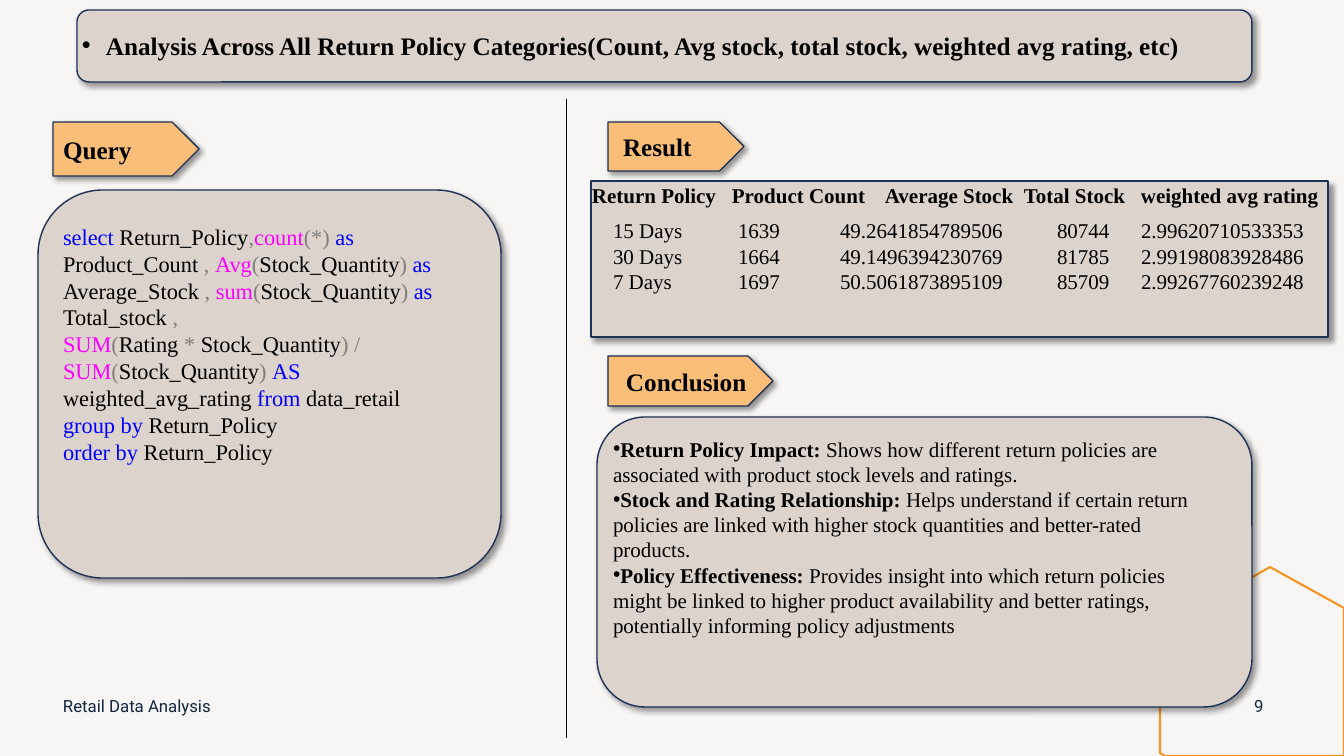
from lxml import etree
from pptx import Presentation
from pptx.dml.color import RGBColor
from pptx.enum.shapes import MSO_CONNECTOR, MSO_SHAPE
from pptx.enum.text import MSO_ANCHOR, PP_ALIGN
from pptx.oxml.ns import qn
from pptx.util import Pt

TOP, MIDDLE = MSO_ANCHOR.TOP, MSO_ANCHOR.MIDDLE
LEFT, CENTER = PP_ALIGN.LEFT, PP_ALIGN.CENTER
RECTANGLE, ROUNDED = MSO_SHAPE.RECTANGLE, MSO_SHAPE.ROUNDED_RECTANGLE
PENTAGON, STRAIGHT = MSO_SHAPE.PENTAGON, MSO_CONNECTOR.STRAIGHT

SCALE = 914400 / 100.8  # EMU per px
SERIF, SANS = "Times New Roman", "Roboto"
BACKGROUND, PANEL, LABEL = "F8F6F5", "DCD3CC", "FABE79"
NAVY, ORANGE, FOOTER_INK, BLACK = "1E3256", "F79320", "0F253E", "000000"
KEYWORD, FUNCTION, SYMBOL, NAME = "0000FF", "FF00FF", "808080", BLACK

# Content
TITLE = ("Analysis Across All Return Policy Categories"
         "(Count, Avg stock, total stock, weighted avg rating, etc)")
QUERY = [
    [("select ", KEYWORD), ("Return_Policy", NAME), (",", SYMBOL), ("count", FUNCTION),
     ("(*) ", SYMBOL), ("as ", KEYWORD), ("Product_Count ", NAME), (", ", SYMBOL),
     ("Avg", FUNCTION), ("(", SYMBOL), ("Stock_Quantity", NAME), (") ", SYMBOL),
     ("as ", KEYWORD), ("Average_Stock ", NAME), (", ", SYMBOL), ("sum", FUNCTION),
     ("(", SYMBOL), ("Stock_Quantity", NAME), (") ", SYMBOL), ("as ", KEYWORD),
     ("Total_stock ", NAME), (",", SYMBOL)],
    [("SUM", FUNCTION), ("(", SYMBOL), ("Rating ", NAME), ("* ", SYMBOL),
     ("Stock_Quantity", NAME), (") / ", SYMBOL), ("SUM", FUNCTION), ("(", SYMBOL),
     ("Stock_Quantity", NAME), (") ", SYMBOL), ("AS ", KEYWORD),
     ("weighted_avg_rating ", NAME), ("from ", KEYWORD), ("data_retail", NAME)],
    [("group by ", KEYWORD), ("Return_Policy", NAME)],
    [("order by ", KEYWORD), ("Return_Policy", NAME)],
]
HEADINGS = ["Return Policy", "Product Count", "Average Stock", "Total Stock",
            "weighted avg rating"]
RESULTS = [
    ["15 Days", "1639", "49.2641854789506", "80744", "2.99620710533353"],
    ["30 Days", "1664", "49.1496394230769", "81785", "2.99198083928486"],
    ["7 Days", "1697", "50.5061873895109", "85709", "2.99267760239248"],
]
CONCLUSIONS = [
    ("Return Policy Impact:", " Shows how different return policies are associated with "
     "product stock levels and ratings."),
    ("Stock and Rating Relationship:", " Helps understand if certain return policies are "
     "linked with higher stock quantities and better-rated products."),
    ("Policy Effectiveness:", " Provides insight into which return policies might be linked "
     "to higher product availability and better ratings, potentially informing policy "
     "adjustments"),
]

# Places in px: left, top, width, height
PANELS = [
    (RECTANGLE, (591, 181, 737, 156)),
    (ROUNDED, (38, 190, 463, 388)),
    (ROUNDED, (597, 417, 655, 290)),
    (ROUNDED, (77, 10, 1175, 72)),
]
LABELS = [  # text, text inset, place
    ("Query", 10, (53, 122, 146, 54)),
    ("Result", 15, (608, 122, 136, 49)),
    ("Conclusion", 18, (608, 356, 165, 50)),
]
HEADING_COLUMNS = [592, 732, 885, 1024, 1141]
RESULT_COLUMNS = [613, 738, 840, 1057, 1141]
HEXAGON = [(1270, 567), (1344, 608), (1344, 756), (1165, 756), (1160, 753), (1160, 630)]


def px(length):
    return round(length * SCALE)


def color(value):
    return RGBColor.from_string(value)


def add_panel(kind, place, fill):
    shape = slide.shapes.add_shape(kind, *map(px, place))
    shape.fill.solid()
    shape.fill.fore_color.rgb = color(fill)
    shape.line.color.rgb = color(NAVY)
    shape.line.width = Pt(1)
    shape.shadow.inherit = False
    effects = shape._element.spPr.find(qn("a:effectLst"))
    shadow = etree.SubElement(effects, qn("a:outerShdw"), blurRad=str(Pt(4)),
                              dist=str(Pt(3)), dir="2700000", algn="tl", rotWithShape="0")
    ink = etree.SubElement(shadow, qn("a:srgbClr"), val=BLACK)
    etree.SubElement(ink, qn("a:alpha"), val="40000")
    return shape


def set_frame(shape, anchor, margins):
    frame = shape.text_frame
    frame.word_wrap = True
    frame.vertical_anchor = anchor
    (frame.margin_left, frame.margin_top,
     frame.margin_right, frame.margin_bottom) = map(px, margins)
    return frame


def add_text(place, anchor=TOP, margins=(10, 5, 10, 5)):
    return set_frame(slide.shapes.add_textbox(*map(px, place)), anchor, margins)


def write(frame, lines, size, font=SERIF, ink=BLACK, bold=False, align=LEFT):
    """Write one paragraph per line; a line is a string or a list of (text, color, bold)."""
    for index, line in enumerate(lines):
        paragraph = frame.paragraphs[0] if index == 0 else frame.add_paragraph()
        paragraph.alignment = align
        paragraph.font.size = Pt(size)
        paragraph.font.name = font
        paragraph.font.bold = bold
        paragraph.font.color.rgb = color(ink)
        parts = [(line, ink, bold)] if isinstance(line, str) else line
        for text, run_ink, run_bold in parts:
            run = paragraph.add_run()
            run.text = text
            if run_ink != ink:
                run.font.color.rgb = color(run_ink)
            if run_bold != bold:
                run.font.bold = run_bold


def insert_before_font(paragraph, tag, **attributes):
    properties = paragraph._p.get_or_add_pPr()
    element = etree.Element(qn(tag), **attributes)
    properties.find(qn("a:defRPr")).addprevious(element)
    return element


def add_bullets(frame, indent):
    for paragraph in frame.paragraphs:
        properties = paragraph._p.get_or_add_pPr()
        properties.set("marL", str(px(indent)))
        properties.set("indent", str(-px(indent)))
        insert_before_font(paragraph, "a:buFont", typeface="Arial")
        insert_before_font(paragraph, "a:buChar", char="•")


def add_columns(rows, columns, top, height, bold):
    left = columns[0]
    frame = add_text((left, top, 1328 - left, height), margins=(0, 0, 0, 0))
    write(frame, ["\t".join(row) for row in rows], 15, bold=bold)
    for paragraph in frame.paragraphs:
        tabs = insert_before_font(paragraph, "a:tabLst")
        for column in columns[1:]:
            etree.SubElement(tabs, qn("a:tab"), pos=str(px(column - left)), algn="l")


presentation = Presentation()
presentation.slide_width, presentation.slide_height = px(1344), px(756)
slide = presentation.slides.add_slide(presentation.slide_layouts[6])
slide.background.fill.solid()
slide.background.fill.fore_color.rgb = color(BACKGROUND)

# Corner hexagon
builder = slide.shapes.build_freeform(*HEXAGON[0], scale=SCALE)
builder.add_line_segments(HEXAGON[1:], close=True)
hexagon = builder.convert_to_shape()
hexagon.fill.background()
hexagon.line.color.rgb = color(ORANGE)
hexagon.line.width = Pt(1.5)
hexagon.shadow.inherit = False

# Panels and arrow labels
for kind, place in PANELS:
    add_panel(kind, place, PANEL)
for text, inset, place in LABELS:
    label = add_panel(PENTAGON, place, LABEL)
    write(set_frame(label, MIDDLE, (inset, 0, 0, 0)), [text], 18, bold=True)

# Title
title = add_text((72, 25, 1200, 40))
write(title, [TITLE], 18, bold=True)
add_bullets(title, 24)

# Divider between query and findings
divider = slide.shapes.add_connector(STRAIGHT, px(566), px(99), px(566), px(738))
divider.line.color.rgb = color(BLACK)
divider.line.width = Pt(0.5)
etree.SubElement(divider._element.spPr, qn("a:effectLst"))

# Query, result and conclusion
query_lines = [[(text, ink, False) for text, ink in line] for line in QUERY]
write(add_text((53, 218, 420, 255)), query_lines, 16)
add_columns([HEADINGS], HEADING_COLUMNS, 183, 26, True)
add_columns(RESULTS, RESULT_COLUMNS, 218, 78, False)
conclusion = add_text((603, 430, 598, 214), MIDDLE)
write(conclusion, [[(lead, BLACK, True), (rest, BLACK, False)] for lead, rest in CONCLUSIONS], 15)
add_bullets(conclusion, 0)

# Footer
write(add_text((53, 686, 454, 40), MIDDLE), ["Retail Data Analysis"], 12, SANS, FOOTER_INK)
write(add_text((1234, 686, 50, 40), MIDDLE), ["9"], 12, SANS, FOOTER_INK, align=CENTER)

presentation.save("out.pptx")
